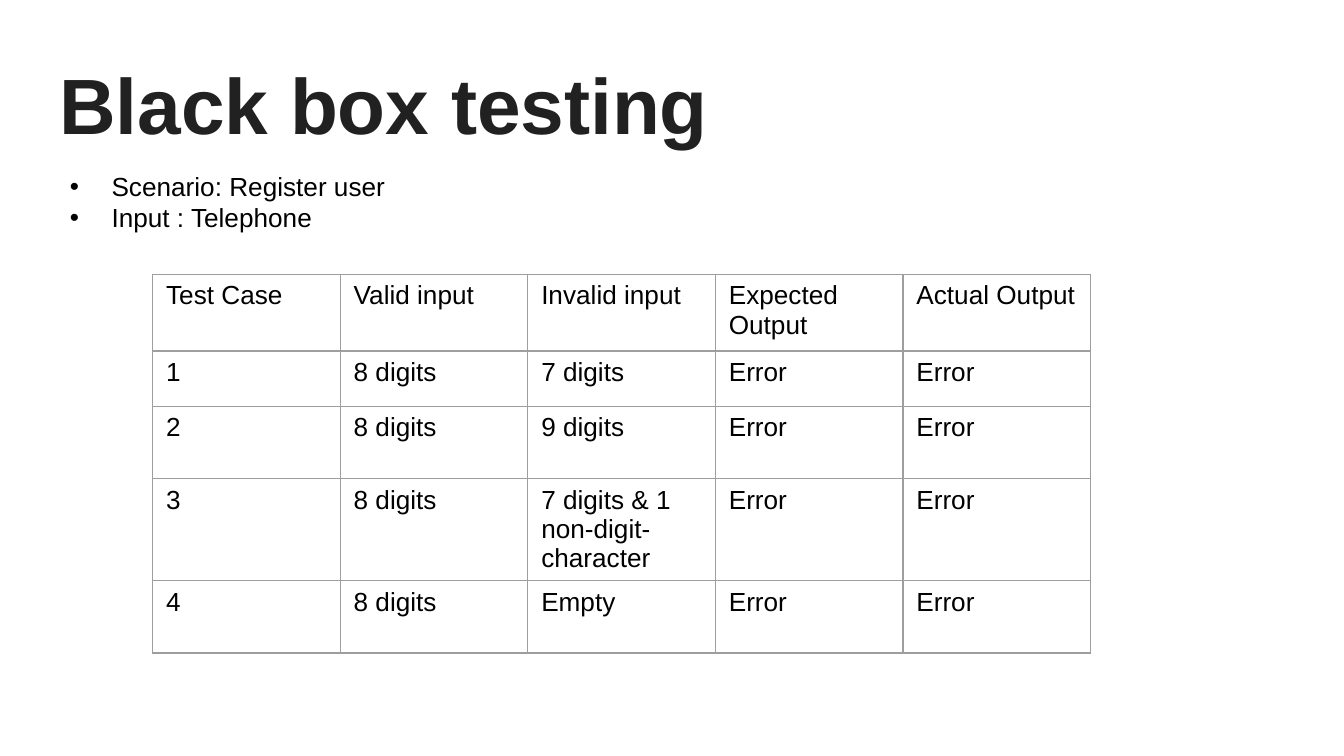
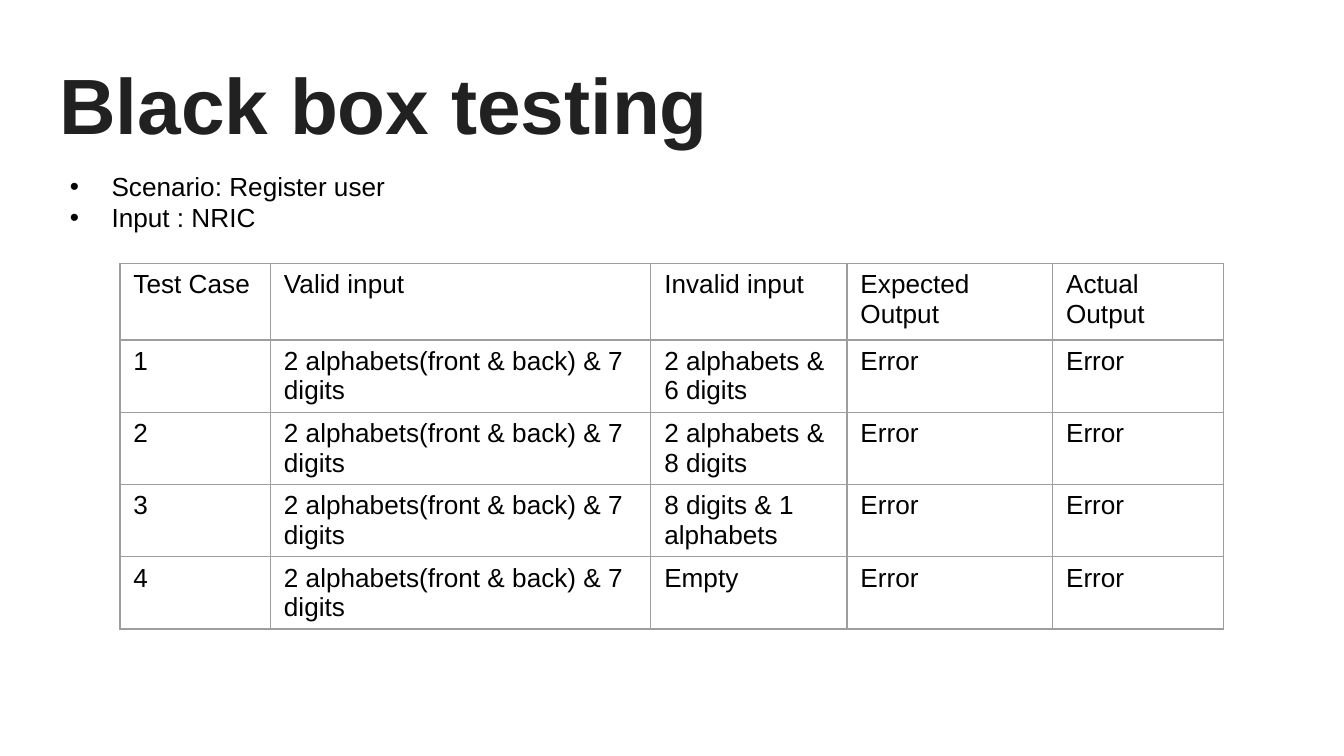
from dataclasses import dataclass

from lxml import etree
from pptx import Presentation, util as u
from pptx.dml.color import RGBColor
from pptx.enum import text
from pptx.oxml import ns


@dataclass(frozen=True)
class Theme:
    font: str = "Arial"
    title_color: str = "212121"
    text_color: str = "000000"
    border_color: str = "9E9E9E"
    title_size: int = 42
    text_size: int = 14
    border_width: float = 0.75


THEME = Theme()
WIDTH = u.Inches(10)
HEIGHT = WIDTH * 9 // 16
HEADINGS = ["Test Case", "Valid input", "Invalid input", "Expected Output", "Actual Output"]


def across(percent):
    return round(WIDTH * percent / 100)


def down(percent):
    return round(HEIGHT * percent / 100)


def place(box, left, top, width, height):
    box.left, box.top = across(left), down(top)
    box.width, box.height = across(width), down(height)


def format_text(frame, size, color, bold=False):
    for para in frame.paragraphs:
        para.alignment = text.PP_ALIGN.LEFT
        para.space_before = u.Pt(0)
        for span in para.runs:
            font = span.font
            font.name, font.size, font.bold = THEME.font, u.Pt(size), bold
            font.color.rgb = RGBColor.from_string(color)


def prepare_frame(frame, vertical_inset):
    frame.word_wrap = True
    frame.auto_size = text.MSO_AUTO_SIZE.NONE
    frame.vertical_anchor = text.MSO_ANCHOR.TOP
    frame.margin_left = frame.margin_right = u.Inches(0.1)
    frame.margin_top = frame.margin_bottom = u.Inches(vertical_inset)


def add_title(page, title):
    box = page.shapes.title
    place(box, 3.4, 5.7, 93.2, 15.66)
    box.text_frame.text = title
    prepare_frame(box.text_frame, 0.1)
    format_text(box.text_frame, THEME.title_size, THEME.title_color, bold=True)


def add_bullet(para):
    properties = para._p.get_or_add_pPr()
    properties.set("marL", str(u.Inches(0.31)))
    properties.set("indent", str(-u.Inches(0.31)))
    color = etree.SubElement(properties, ns.qn("a:buClr"))
    etree.SubElement(color, ns.qn("a:srgbClr"), val=THEME.text_color)
    etree.SubElement(properties, ns.qn("a:buFont"), typeface=THEME.font)
    etree.SubElement(properties, ns.qn("a:buChar"), char="•")


def add_list(page, items):
    box = page.placeholders[1]
    place(box, 4.2, 21.65, 89.3, 10.14)
    box.text_frame.text = "\n".join(items)
    prepare_frame(box.text_frame, 0.05)
    format_text(box.text_frame, THEME.text_size, THEME.text_color)
    for para in box.text_frame.paragraphs:
        add_bullet(para)


def add_borders(cell):
    properties = cell._tc.get_or_add_tcPr()
    for side in ("lnL", "lnR", "lnT", "lnB"):
        line = etree.SubElement(properties, ns.qn(f"a:{side}"), w=str(u.Pt(THEME.border_width)))
        fill = etree.SubElement(line, ns.qn("a:solidFill"))
        etree.SubElement(fill, ns.qn("a:srgbClr"), val=THEME.border_color)


def format_cell(cell, value):
    cell.text_frame.text = value
    cell.margin_left = cell.margin_right = u.Inches(0.1)
    cell.margin_top = cell.margin_bottom = u.Inches(0.05)
    cell.vertical_anchor = text.MSO_ANCHOR.TOP
    format_text(cell.text_frame, THEME.text_size, THEME.text_color)
    add_borders(cell)
    cell.fill.background()


def add_test_table(page, left, top, widths, heights, valid, invalid):
    cases = [[str(number), valid, value, "Error", "Error"]
             for number, value in enumerate(invalid, 1)]
    rows = [HEADINGS, *cases]
    table = page.shapes.add_table(
        len(rows), len(HEADINGS), across(left), down(top),
        across(sum(widths)), down(sum(heights))).table
    table.first_row = table.horz_banding = False
    for column, width in zip(table.columns, widths):
        column.width = across(width)
    for row, height, values in zip(table.rows, heights, rows):
        row.height = down(height)
        for cell, value in zip(row.cells, values):
            format_cell(cell, value)


def add_test_page(deck, field, **table):
    page = deck.slides.add_slide(deck.slide_layouts[1])
    add_title(page, "Black box testing")
    add_list(page, ["Scenario: Register user", f"Input : {field}"])
    add_test_table(page, **table)


def main():
    deck = Presentation()
    deck.slide_width, deck.slide_height = WIDTH, HEIGHT
    add_test_page(
        deck, "Telephone", left=11.36, top=36.3,
        widths=[13.96] * 5, heights=[10.14, 7.3, 9.58, 13.5, 9.58],
        valid="8 digits",
        invalid=["7 digits", "9 digits", "7 digits & 1 non-digit-character", "Empty"])
    add_test_page(
        deck, "NRIC", left=8.93, top=34.84,
        widths=[11.2, 28.3, 14.6, 15.3, 12.7], heights=[10.14] + [9.56] * 4,
        valid="2 alphabets(front & back) & 7 digits",
        invalid=["2 alphabets & 6 digits", "2 alphabets & 8 digits",
                 "8 digits & 1 alphabets", "Empty"])
    deck.save("out.pptx")


if __name__ == "__main__":
    main()
